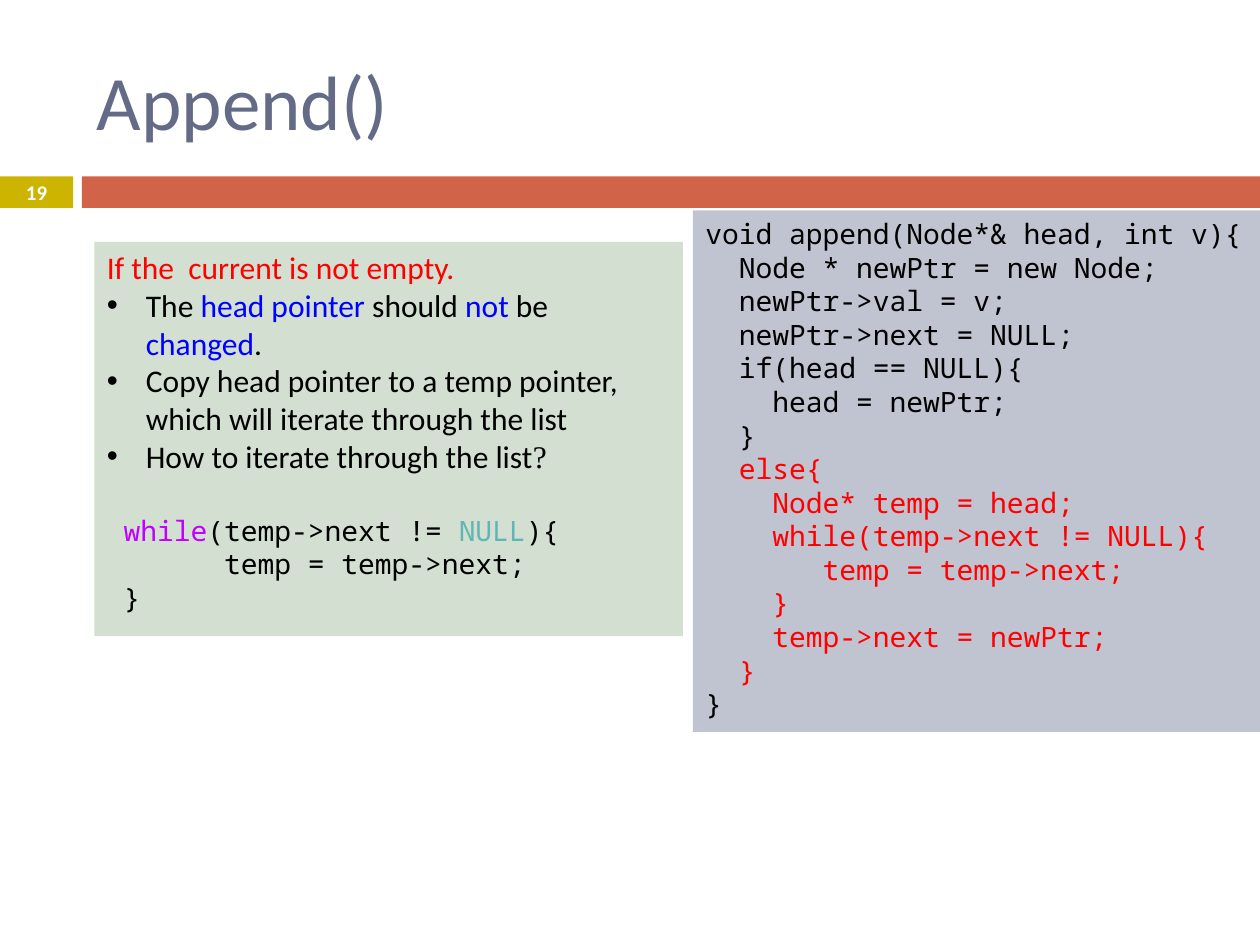
from pptx import Presentation
from pptx.dml.color import RGBColor
from pptx.enum.shapes import MSO_SHAPE as SHAPE
from pptx.enum.text import MSO_ANCHOR as ANCHOR, PP_ALIGN as ALIGN
from pptx.oxml.ns import qn
from pptx.util import Inches, Pt
from lxml import etree

COLORS = {
    "title": "646B86", "gold": "CCB400", "rust": "D16349",
    "sage": "D2DFD1", "slate": "C0C3D0", "white": "FFFFFF",
    "black": "000000", "red": "FF0000", "blue": "0000FF",
    "purple": "C200FF", "teal": "61B6B4",
}
SANS, SERIF, MONO = "Calibri", "Times New Roman", "Noto Sans Mono"

CODE_HEAD = """void append(Node*& head, int v){
  Node * newPtr = new Node;
  newPtr->val = v;
  newPtr->next = NULL;
  if(head == NULL){
    head = newPtr;
  }"""
CODE_ELSE = """  else{
    Node* temp = head;
    while(temp->next != NULL){
       temp = temp->next;
    }
    temp->next = newPtr;
  }"""
BULLETS = [
    [("The ",), ("head pointer ", "blue"), ("should ",), ("not", "blue"),
     (" be ",), ("changed", "blue"), (".",)],
    [("Copy head pointer to a temp pointer, which will iterate through the list",)],
    [("How to iterate through the list",), ("?", "black", SERIF)],
]
LOOP = [
    [(" ",), ("while", "purple"), ("(temp->next != ",), ("NULL", "teal"), ("){",)],
    [("       temp = temp->next;",)],
    [(" }",)],
]


class Deck:
    """Holds the style and the current slide."""

    def __init__(self, prs):
        self.s = prs.slides.add_slide(prs.slide_layouts[6])

    def rect(self, x, y, w, h, fill):
        sp = self.s.shapes.add_shape(
            SHAPE.RECTANGLE, Inches(x), Inches(y), Inches(w), Inches(h))
        sp.shadow.inherit = False
        sp.fill.solid()
        sp.fill.fore_color.rgb = RGBColor.from_string(COLORS[fill])
        sp.line.fill.background()
        tf = sp.text_frame
        tf.word_wrap = True
        tf.vertical_anchor = ANCHOR.TOP
        return tf

    def textbox(self, x, y, w, h):
        tf = self.s.shapes.add_textbox(
            Inches(x), Inches(y), Inches(w), Inches(h)).text_frame
        tf.word_wrap = True
        tf.vertical_anchor = ANCHOR.MIDDLE
        return tf

    def para(self, tf, runs, size, font=SANS, align=ALIGN.LEFT, bold=False):
        p = tf.paragraphs[0]
        if p.runs:
            p = tf.add_paragraph()
        p.alignment = align
        for text, color, face in (
                (*run, *("black", font)[len(run) - 1:]) for run in runs):
            r = p.add_run()
            r.text = text
            r.font.size = Pt(size)
            r.font.name = face
            r.font.bold = bold
            r.font.color.rgb = RGBColor.from_string(COLORS[color])
        return p

    def bullet(self, tf, runs, size):
        pPr = self.para(tf, runs, size)._p.get_or_add_pPr()
        pPr.set("marL", str(Inches(0.31)))
        pPr.set("indent", str(-Inches(0.31)))
        etree.SubElement(pPr, qn("a:buFont")).set("typeface", "Arial")
        etree.SubElement(pPr, qn("a:buChar")).set("char", "•")

    def code(self, tf, text, color="black"):
        for line in text.splitlines():
            self.para(tf, [(line, color)], 16, MONO)


def main():
    prs = Presentation()
    prs.slide_width, prs.slide_height = Inches(10), Inches(7.5)
    deck = Deck(prs)

    deck.rect(0, 1.4, 0.58, 0.25, "gold")
    deck.rect(0.65, 1.4, 9.35, 0.25, "rust")
    title = deck.textbox(0.67, 0.25, 8.92, 1.08)
    deck.para(title, [("Append()", "title")], 44)
    number = deck.textbox(0, 1.39, 0.58, 0.27)
    deck.para(number, [("19", "white")], 11.9, align=ALIGN.CENTER, bold=True)

    notes = deck.rect(0.75, 1.92, 4.67, 3.13, "sage")
    deck.para(notes, [("If the  current is not empty.", "red")], 18)
    for runs in BULLETS:
        deck.bullet(notes, runs, 18)
    loop = [deck.para(notes, runs, 16, MONO) for runs in LOOP]
    loop[0].space_before = Pt(22)

    listing = deck.rect(5.5, 1.67, 4.53, 4.14, "slate")
    deck.code(listing, CODE_HEAD)
    deck.code(listing, CODE_ELSE, "red")
    deck.code(listing, "}")

    prs.save("out.pptx")


if __name__ == "__main__":
    main()
